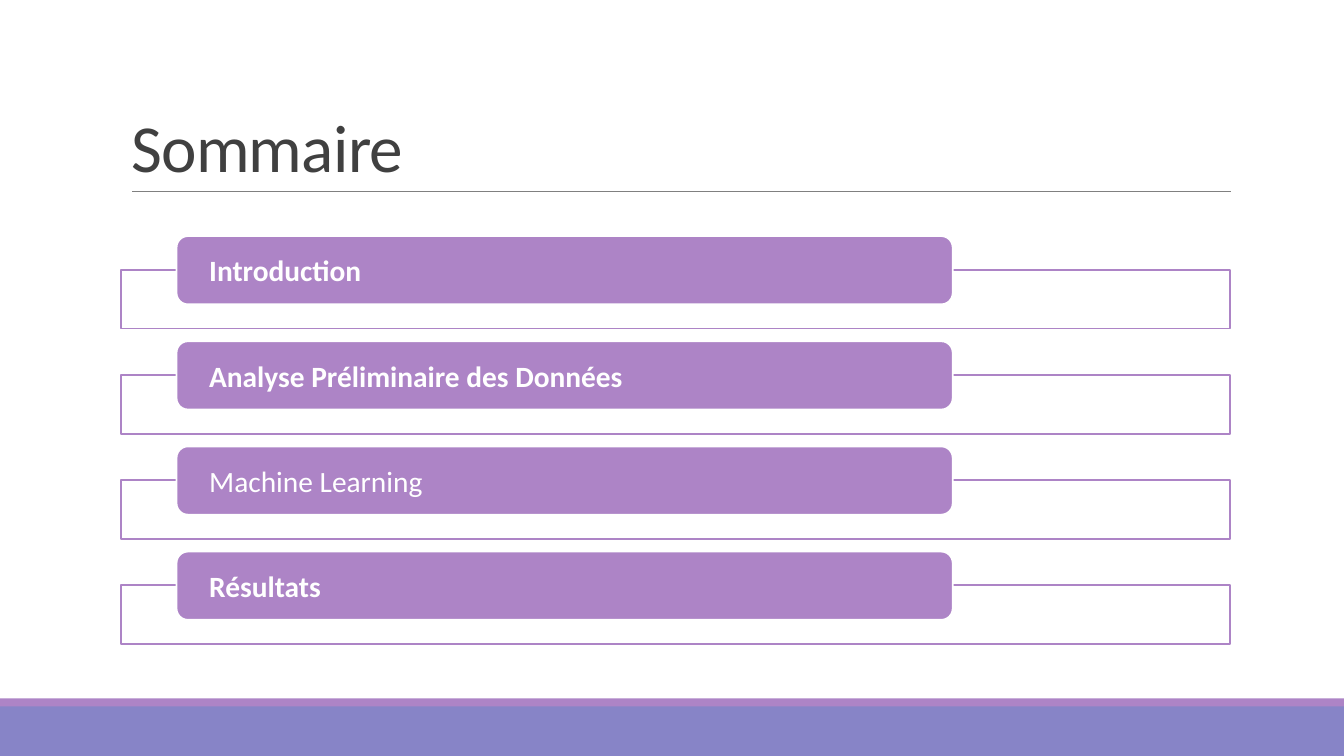
import pptx
import pptx.dml.color
import pptx.enum.shapes
import pptx.enum.text
import pptx.oxml.ns
import pptx.util
from lxml import etree

Cm, Pt = pptx.util.Cm, pptx.util.Pt
Shape = pptx.enum.shapes.MSO_SHAPE
Anchor = pptx.enum.text.MSO_ANCHOR
Align = pptx.enum.text.PP_ALIGN
qn = pptx.oxml.ns.qn

WIDTH, HEIGHT = 33.87, 19.05
LEFT, SPAN = 3.05, 27.94
TOP, STEP = 5.95, 2.65
TOPICS = [
    ("Introduction", True),
    ("Analyse Préliminaire des Données", True),
    ("Machine Learning", False),
    ("Résultats", True),
]


def color(code):
    return pptx.dml.color.RGBColor.from_string(code)


class Deck:
    FONT = "Calibri"
    LILAC, BLUE, WHITE = "AD84C6", "8784C7", "FFFFFF"
    DARK, GRAY = "404040", "808080"

    def __init__(self):
        self.file = pptx.Presentation()
        self.file.slide_width = Cm(WIDTH)
        self.file.slide_height = Cm(HEIGHT)
        self.slide = self.file.slides.add_slide(self.file.slide_layouts[5])

    def label(self, frame, text, size, code, bold=False):
        frame.word_wrap = True
        para = frame.paragraphs[0]
        para.text = text
        para.alignment = Align.LEFT
        font = para.font
        font.name, font.size, font.bold = self.FONT, Pt(size), bold
        font.color.rgb = color(code)
        return para

    def title(self, text):
        head = self.slide.shapes.title
        head.left, head.top = Cm(LEFT), Cm(0.79)
        head.width, head.height = Cm(SPAN), Cm(4.04)
        head.text_frame.vertical_anchor = Anchor.BOTTOM
        para = self.label(head.text_frame, text, 48, self.DARK)
        para.line_spacing = 0.85
        para.runs[0]._r.get_or_add_rPr().set("spc", "-50")

    def box(self, kind, left, top, width, height, fill, line=None):
        shape = self.slide.shapes.add_shape(
            kind, Cm(left), Cm(top), Cm(width), Cm(height))
        shape.shadow.inherit = False
        shape.fill.solid()
        shape.fill.fore_color.rgb = color(fill)
        if line:
            shape.line.color.rgb = color(line)
            shape.line.width = Pt(1.25)
        else:
            shape.line.fill.background()
        return shape

    def rule(self, left, top, right):
        line = self.slide.shapes.add_connector(
            pptx.enum.shapes.MSO_CONNECTOR.STRAIGHT,
            Cm(left), Cm(top), Cm(right), Cm(top))
        line.line.color.rgb = color(self.GRAY)
        line.line.width = Pt(0.5)
        etree.SubElement(line._element.spPr, qn("a:effectLst"))

    def topic(self, top, text, bold):
        """Draw an outlined frame with a rounded label over its top edge."""
        frame = self.box(Shape.RECTANGLE, LEFT, top + 0.85, SPAN, 1.48,
                         self.WHITE, self.LILAC)
        tint = frame._element.spPr.find(qn("a:solidFill"))[0]
        etree.SubElement(tint, qn("a:alpha"), val="90000")
        tab = self.box(Shape.ROUNDED_RECTANGLE, 4.45, top, 19.56, 1.72,
                       self.LILAC, self.WHITE)
        body = tab.text_frame
        body.margin_left = body.margin_right = Cm(0.74)
        body.margin_top = body.margin_bottom = 0
        body.vertical_anchor = Anchor.MIDDLE
        self.label(body, text, 21, self.WHITE, bold)


def main():
    deck = Deck()
    deck.box(Shape.RECTANGLE, 0, 17.6, WIDTH, 0.18, deck.LILAC)
    deck.box(Shape.RECTANGLE, 0, 17.78, WIDTH, 1.27, deck.BLUE)
    deck.box(Shape.RECTANGLE, 0, 17.62, WIDTH, 0.18, deck.LILAC)
    deck.rule(3.33, 4.83, 31.01)
    deck.title("Sommaire")
    for row, (text, bold) in enumerate(TOPICS):
        deck.topic(TOP + row * STEP, text, bold)
    deck.file.save("out.pptx")


if __name__ == "__main__":
    main()
